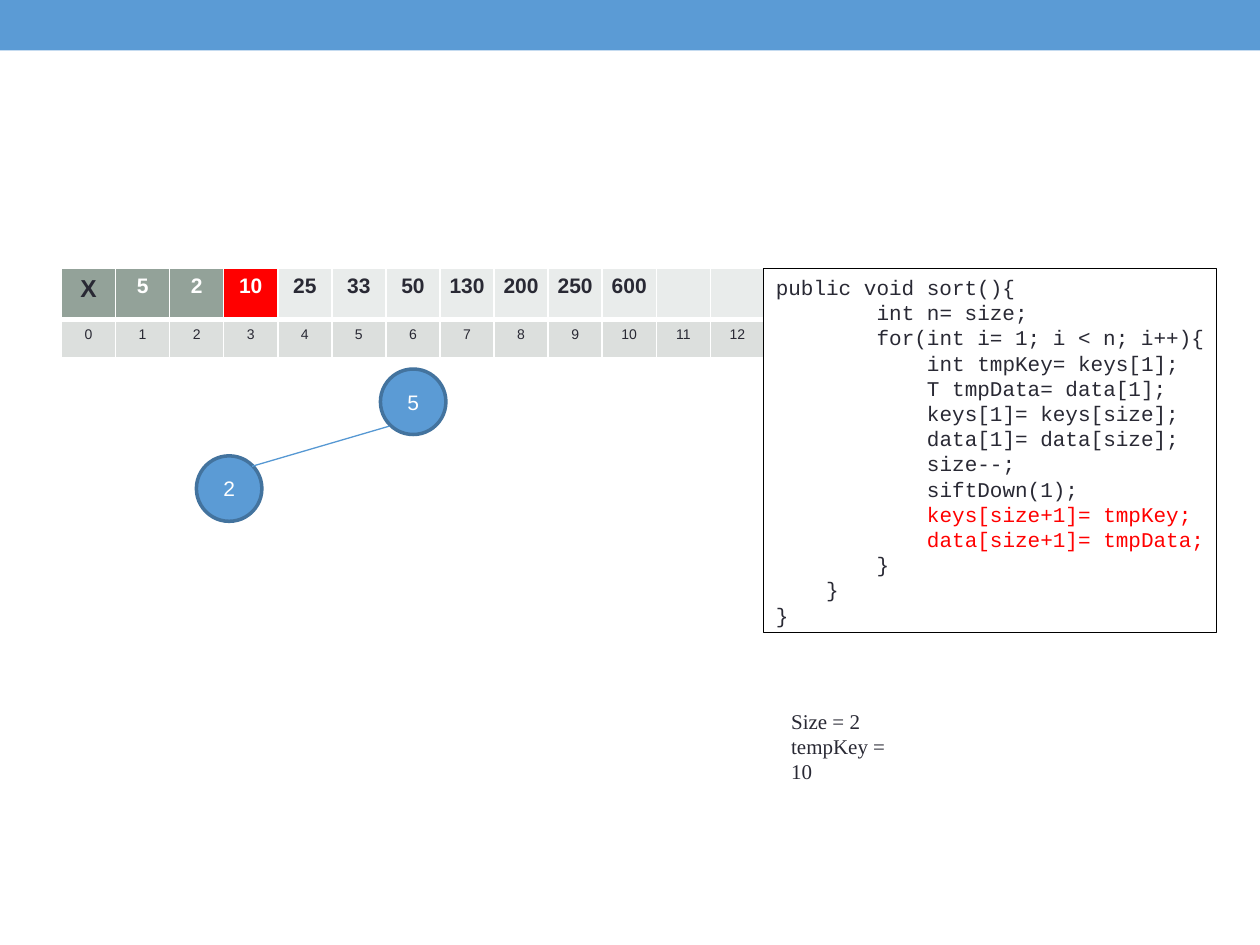
from lxml import etree
from pptx import Presentation
from pptx.dml.color import RGBColor
from pptx.enum.shapes import MSO_CONNECTOR, MSO_SHAPE
from pptx.enum.text import MSO_ANCHOR, PP_ALIGN
from pptx.oxml.ns import qn
from pptx.util import Cm, Pt

RECT, OVAL = MSO_SHAPE.RECTANGLE, MSO_SHAPE.OVAL
LINE = MSO_CONNECTOR.STRAIGHT
LEFT, MID = PP_ALIGN.LEFT, PP_ALIGN.CENTER
TOP, CENTER = MSO_ANCHOR.TOP, MSO_ANCHOR.MIDDLE

HEX = {
    "blue": "5B9BD5", "rim": "43739E", "edge": "5698D3",
    "ink": "292934", "white": "FFFFFF", "black": "000000", "red": "FF0000",
    "sage": "93A299", "pale": "E9ECEB", "gray": "DCDFDD",
}
RGB = {name: RGBColor.from_string(code) for name, code in HEX.items()}


def style(para, font, size, color, align=LEFT, bold=False):
    para.alignment = align
    for run in para.runs:
        run.font.name = font
        run.font.size = Pt(size)
        run.font.bold = bold
        run.font.color.rgb = RGB[color]


def add_box(kind, x, y, w, h, fill=None, line=None, width=0.75):
    box = slide.shapes.add_shape(kind, Cm(x), Cm(y), Cm(w), Cm(h))
    box.shadow.inherit = False
    if fill:
        box.fill.solid()
        box.fill.fore_color.rgb = RGB[fill]
    else:
        box.fill.background()
    if line:
        box.line.color.rgb = RGB[line]
        box.line.width = Pt(width)
    else:
        box.line.fill.background()
    return box


prs = Presentation()
prs.slide_width, prs.slide_height = Cm(25.4), Cm(19.05)
slide = prs.slides.add_slide(prs.slide_layouts[6])

# Top bar
add_box(RECT, 0, 0, 25.4, 1.02, "blue")

# Heap array: keys above their indices
keys = ["X", "5", "2", "10", "25", "33", "50", "130", "200", "250", "600", "", ""]
count = len(keys)
fills = ["sage"] * 3 + ["red"] + ["pale"] * (count - 4)
frame = slide.shapes.add_table(2, count, Cm(1.24), Cm(5.41), Cm(14.24), Cm(1.54))
table = frame.table
for col in table.columns:
    col.width = Cm(1.09)
for row in table.rows:
    row.height = Cm(0.77)

for i, key in enumerate(keys):
    ink = "white" if 1 <= i <= 3 else "ink"
    size = 14 if i == 0 else 12
    parts = [(key, fills[i], size, ink, True), (str(i), "gray", 8, "ink", False)]
    for r, (text, fill, size, ink, bold) in enumerate(parts):
        cell = table.cell(r, i)
        cell.margin_left = cell.margin_right = Cm(0.18)
        cell.margin_top = cell.margin_bottom = Cm(0.13)
        # White borders, thicker between the two rows
        props = cell._tc.get_or_add_tcPr()
        thick = "lnB" if r == 0 else "lnT"
        for side in ("lnL", "lnR", "lnT", "lnB"):
            width = Pt(3) if side == thick else Pt(0.96)
            edge = etree.SubElement(props, qn("a:" + side), w=str(width))
            paint = etree.SubElement(edge, qn("a:solidFill"))
            etree.SubElement(paint, qn("a:srgbClr"), val=HEX["white"])
        cell.fill.solid()
        cell.fill.fore_color.rgb = RGB[fill]
        if text:
            cell.text_frame.text = text
        style(cell.text_frame.paragraphs[0], "Arial", size, ink, MID, bold)

# Tree nodes
for text, x, y in [("5", 7.67, 7.44), ("2", 3.96, 9.19)]:
    node = add_box(OVAL, x, y, 1.32, 1.32, "blue", "rim", 2)
    node.text_frame.text = text
    node.text_frame.vertical_anchor = CENTER
    style(node.text_frame.paragraphs[0], "Arial", 12, "white", MID)

# Tree edge
link = slide.shapes.add_connector(LINE, Cm(7.85), Cm(8.59), Cm(5.08), Cm(9.4))
link.line.color.rgb = RGB["edge"]
link.line.width = Pt(0.75)
etree.SubElement(link._element.spPr, qn("a:effectLst"))

# Code: indent in characters, text, colour
code = [
    (0, "public void sort(){", "ink"),
    (8, "int n= size;", "ink"),
    (8, "for(int i= 1; i < n; i++){", "ink"),
    (12, "int tmpKey= keys[1];", "ink"),
    (12, "T tmpData= data[1];", "ink"),
    (12, "keys[1]= keys[size];", "ink"),
    (12, "data[1]= data[size];", "ink"),
    (12, "size--;", "ink"),
    (12, "siftDown(1);", "ink"),
    (12, "keys[size+1]= tmpKey;", "red"),
    (12, "data[size+1]= tmpData;", "red"),
    (8, "}", "ink"),
    (4, "}", "ink"),
    (0, "}", "ink"),
]
box = add_box(RECT, 15.39, 5.41, 9.14, 7.34, line="black")
body = box.text_frame
body.word_wrap = False
body.vertical_anchor = TOP
body.text = "\n".join(text for _, text, _ in code)
for para, (indent, _, color) in zip(body.paragraphs, code):
    style(para, "Courier New", 12, color)
    props = para._p.get_or_add_pPr()
    props.set("marL", str(Pt(7.2) * indent))
    props.set("indent", "0")

# Current values
note = slide.shapes.add_textbox(Cm(15.7), Cm(14.15), Cm(2.92), Cm(1.27))
note.text_frame.word_wrap = False
note.text_frame.text = "Size = 2\ntempKey = 10"
for para in note.text_frame.paragraphs:
    style(para, "Times New Roman", 12, "ink")

prs.save("out.pptx")
